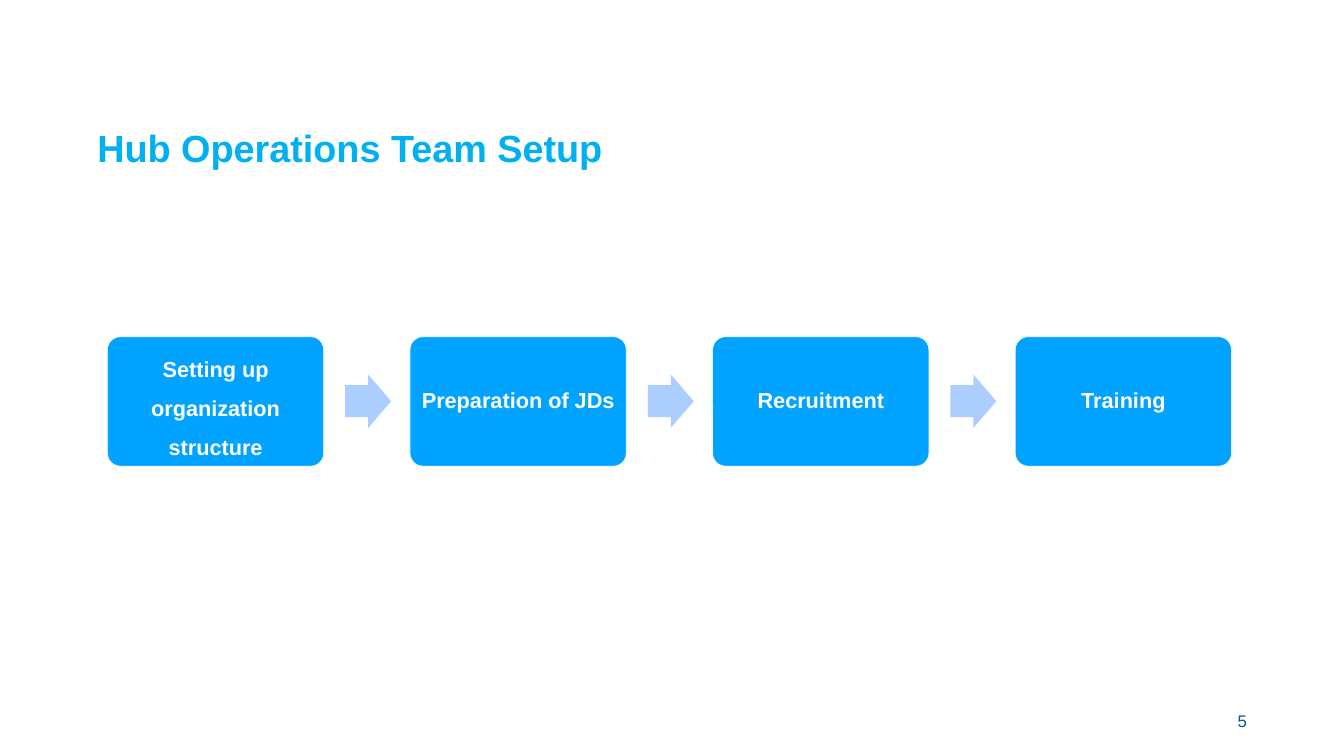
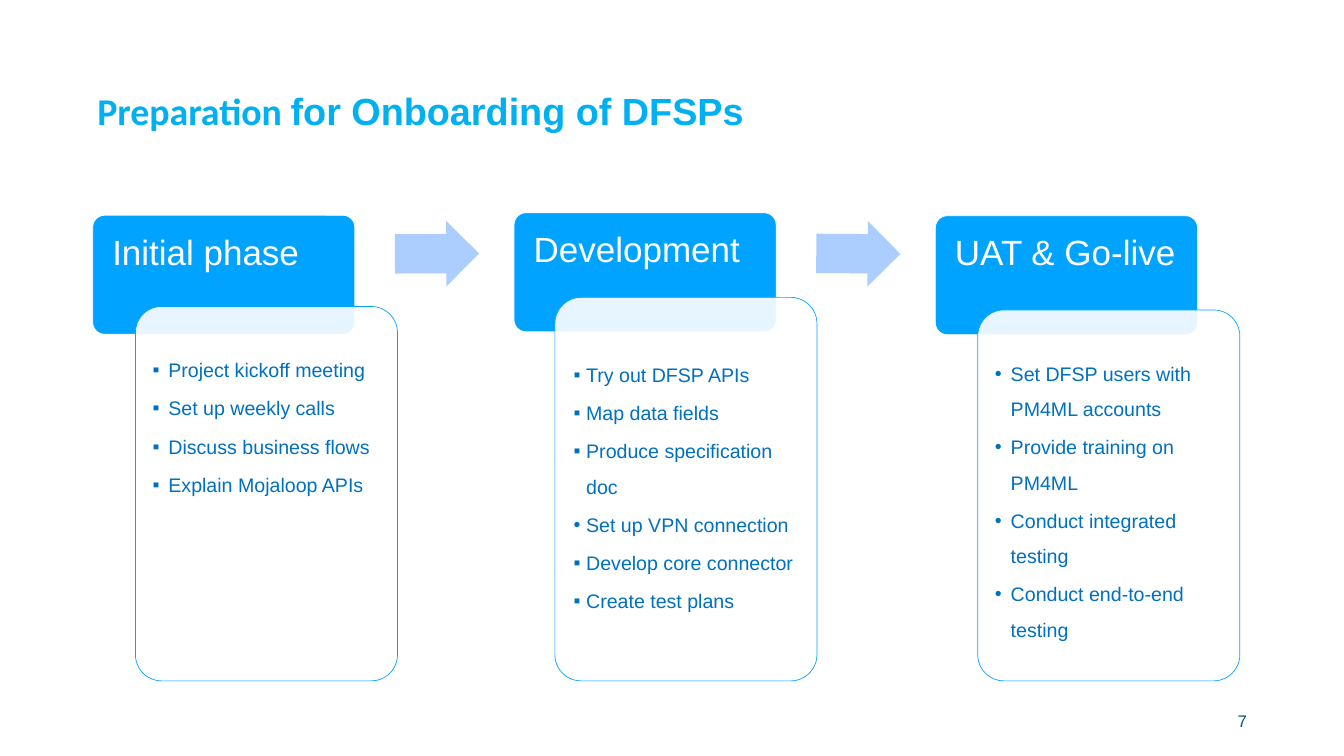
from pptx import Presentation
from pptx.dml.color import RGBColor
from pptx.enum.shapes import MSO_SHAPE
from pptx.enum.text import MSO_ANCHOR, MSO_AUTO_SIZE, PP_ALIGN
from pptx.oxml.ns import qn
from pptx.util import Pt
from lxml.etree import SubElement

SKY = "00B0F0"
BLUE = "00A3FF"
PALE_BLUE = "ABCEFF"
TEXT_BLUE = "0070C0"
PAGE_BLUE = "005A83"
WHITE = "FFFFFF"
TITLE_ONLY = 5
SQUARE = "▪"
DOT = "•"

TEAM_STEPS = [
    ("Setting up organization structure", 1.5),
    ("Preparation of JDs", 0.9),
    ("Recruitment", 0.9),
    ("Training", 0.9),
]

PHASES = [
    dict(
        heading="Initial phase", top=307.5, panel_shift=61, panel_top=437.8,
        side_inset=13.7, top_inset=46, indent=22.5,
        items=[
            (SQUARE, "Project kickoff meeting"),
            (SQUARE, "Set up weekly calls"),
            (SQUARE, "Discuss business flows"),
            (SQUARE, "Explain Mojaloop APIs"),
        ],
    ),
    dict(
        heading="Development", top=304, panel_shift=58.3, panel_top=424.8,
        side_inset=15.8, top_inset=65.8, indent=18,
        items=[
            (SQUARE, "Try out DFSP APIs"),
            (SQUARE, "Map data fields"),
            (SQUARE, "Produce specification doc"),
            (DOT, "Set up VPN connection"),
            (SQUARE, "Develop core connector"),
            (SQUARE, "Create test plans"),
        ],
    ),
    dict(
        heading="UAT & Go-live", top=308.2, panel_shift=60.5, panel_top=442.8,
        side_inset=13.7, top_inset=46, indent=22.5,
        items=[
            (DOT, "Set DFSP users with PM4ML accounts"),
            (DOT, "Provide training on PM4ML"),
            (DOT, "Conduct integrated testing"),
            (DOT, "Conduct end-to-end testing"),
        ],
    ),
]


def color(value):
    return RGBColor.from_string(value)


def add_run(paragraph, text, size=28, fill=WHITE, bold=False, font="Arial"):
    run = paragraph.add_run()
    run.text = text
    run.font.name = font
    run.font.size = Pt(size)
    run.font.bold = bold
    run.font.color.rgb = color(fill)


def format_frame(shape, insets, anchor):
    frame = shape.text_frame
    frame.word_wrap = True
    frame.auto_size = MSO_AUTO_SIZE.NONE
    frame.vertical_anchor = anchor
    frame.margin_left, frame.margin_top, frame.margin_right, frame.margin_bottom = map(Pt, insets)
    return frame


def write_text(shape, text, align=PP_ALIGN.LEFT, spacing=0.9, anchor=MSO_ANCHOR.MIDDLE,
               insets=(7.2, 3.6, 7.2, 3.6), **font):
    paragraph = format_frame(shape, insets, anchor).paragraphs[0]
    paragraph.alignment = align
    paragraph.line_spacing = spacing
    add_run(paragraph, text, **font)
    return paragraph


def add_bullet(paragraph, character, indent):
    properties = paragraph._p.get_or_add_pPr()
    properties.set("marL", str(Pt(indent)))
    properties.set("indent", str(-Pt(indent)))
    SubElement(properties, qn("a:buFont")).set("typeface", "Arial")
    SubElement(properties, qn("a:buChar")).set("char", character)


def write_list(shape, items, indent, insets):
    frame = format_frame(shape, insets, MSO_ANCHOR.TOP)
    for index, (character, text) in enumerate(items):
        paragraph = frame.add_paragraph() if index else frame.paragraphs[0]
        add_bullet(paragraph, character, indent)
        paragraph.alignment = PP_ALIGN.LEFT
        paragraph.line_spacing = 1.5
        paragraph.space_after = Pt(4.2)
        add_run(paragraph, text, fill=TEXT_BLUE)


def add_block(slide, kind, left, top, width, height, fill, line=None, opacity=100):
    shape = slide.shapes.add_shape(kind, Pt(left), Pt(top), Pt(width), Pt(height))
    shape.shadow.inherit = False
    shape.fill.solid()
    shape.fill.fore_color.rgb = color(fill)
    if opacity < 100:
        fill_color = shape._element.spPr.find(qn("a:solidFill"))[0]
        SubElement(fill_color, qn("a:alpha")).set("val", str(opacity * 1000))
    if line:
        shape.line.color.rgb = color(line)
        shape.line.width = Pt(1)
    else:
        shape.line.fill.background()
    return shape


def add_card(slide, left, top, width, height, fill=BLUE, line=WHITE, opacity=100):
    card = add_block(slide, MSO_SHAPE.ROUNDED_RECTANGLE, left, top, width, height,
                     fill, line, opacity)
    card.adjustments[0] = 0.1
    return card


def add_arrow(slide, left, top, width, height, rotation=0):
    arrow = add_block(slide, MSO_SHAPE.RIGHT_ARROW, left, top, width, height, PALE_BLUE)
    arrow.adjustments[0] = 0.6
    arrow.adjustments[1] = 0.5
    arrow.rotation = rotation


def add_titled_slide(presentation, title, top, page, font="Arial"):
    slide = presentation.slides.add_slide(presentation.slide_layouts[TITLE_ONLY])
    placeholder = slide.shapes.title
    placeholder.left, placeholder.top = Pt(131.8), Pt(top)
    placeholder.width, placeholder.height = Pt(1486), Pt(208.8)
    paragraph = write_text(placeholder, title, size=54, fill=SKY, bold=True, font=font)
    number = slide.shapes.add_textbox(Pt(1356.5), Pt(1000.8), Pt(432), Pt(57.6))
    write_text(number, page, align=PP_ALIGN.RIGHT, spacing=1.0, size=24, fill=PAGE_BLUE)
    return slide, paragraph


def build_team_slide(presentation):
    slide, _ = add_titled_slide(presentation, "Hub Operations Team Setup", 110.9, "5")
    for index, (step, spacing) in enumerate(TEAM_STEPS):
        left = 153.4 + index * 432.3
        card = add_card(slide, left, 481, 309, 185)
        write_text(card, step, align=PP_ALIGN.CENTER, spacing=spacing,
                   insets=(9.3, 9.3, 9.3, 9.3), size=31, bold=True)
        if index < len(TEAM_STEPS) - 1:
            add_arrow(slide, left + 339.8, 535, 65.5, 76.3)


def add_phase(slide, left, phase):
    heading = add_card(slide, left, phase["top"], 374.4, 170)
    write_text(heading, phase["heading"], anchor=MSO_ANCHOR.TOP,
               insets=(23, 23, 22, 15), size=50)
    panel_top = phase["panel_top"]
    panel = add_card(slide, left + phase["panel_shift"], panel_top, 374.4, 972.7 - panel_top,
                     fill=WHITE, line=BLUE, opacity=90)
    side = phase["side_inset"]
    write_list(panel, phase["items"], phase["indent"], (side, phase["top_inset"], side, side))


def build_onboarding_slide(presentation):
    slide, title = add_titled_slide(presentation, "Preparation ", 57.6, "7", font="Calibri")
    add_run(title, "for Onboarding of DFSPs", size=54, fill=SKY, bold=True)
    pitch = 601.9
    for index, phase in enumerate(PHASES):
        add_phase(slide, 132.5 + index * pitch, phase)
    for index, rotation in enumerate((359.7, 0.4)):
        add_arrow(slide, 564.2 + index * pitch, 315.6, 120.2, 93.6, rotation)


def main():
    presentation = Presentation()
    presentation.slide_width = Pt(1920)
    presentation.slide_height = Pt(1080)
    build_team_slide(presentation)
    build_onboarding_slide(presentation)
    presentation.save("out.pptx")


if __name__ == "__main__":
    main()
